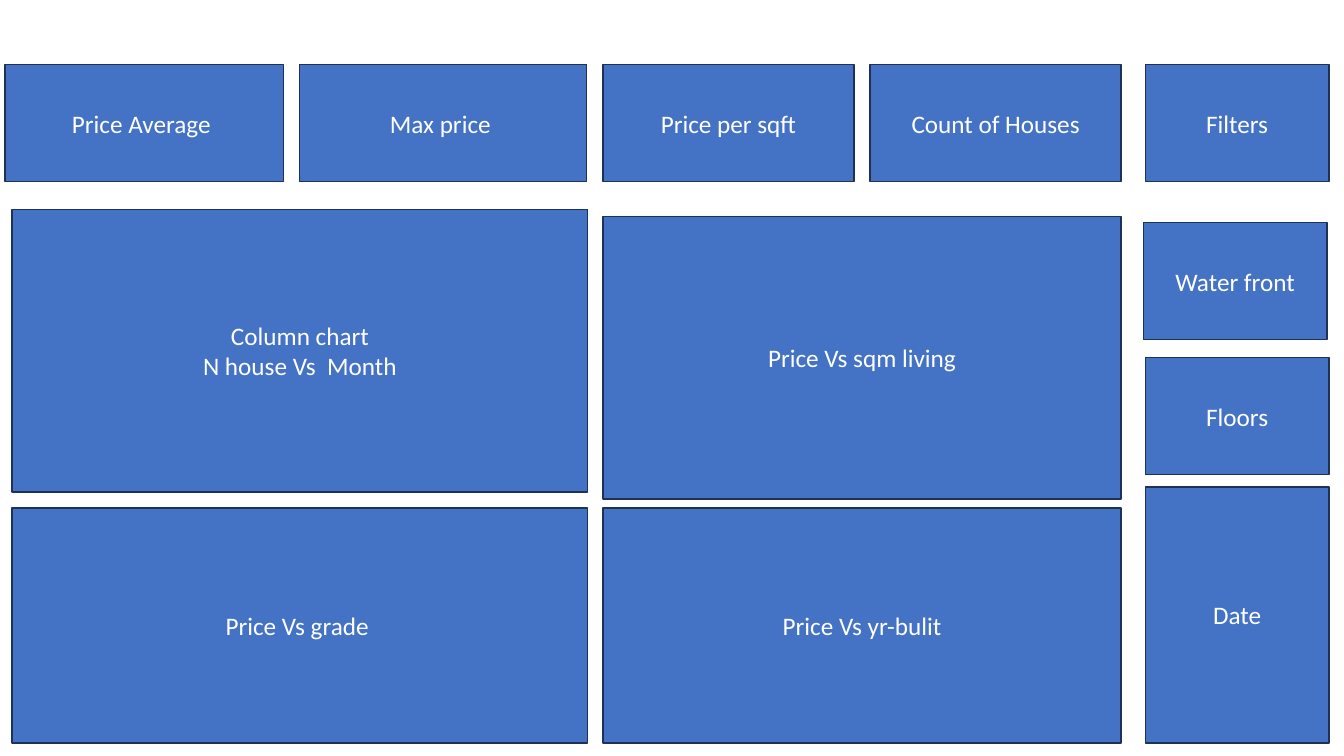
from pptx import Presentation
from pptx.dml.color import RGBColor
from pptx.enum.shapes import MSO_SHAPE
from pptx.enum.text import MSO_ANCHOR, PP_ALIGN
from pptx.util import Inches, Pt

RECTANGLE = MSO_SHAPE.RECTANGLE
MIDDLE = MSO_ANCHOR.MIDDLE
CENTER = PP_ALIGN.CENTER

COLORS = {"tile": "4472C4", "border": "1E3256", "text": "FFFFFF"}
FONT = "Calibri"
BLANK_LAYOUT = 6

# Grid columns as (left, width), in inches
AVERAGE_COL = (0.05, 2.76)
MAX_COL = (2.97, 2.85)
SQFT_COL = (5.98, 2.49)
COUNT_COL = (8.63, 2.49)
LEFT_CHART_COL = (0.12, 5.71)
RIGHT_CHART_COL = (5.98, 5.14)
FILTER_COL = (11.36, 1.82)
WATERFRONT_COL = (11.34, 1.82)

# Grid rows as (top, height), in inches
CARD_HEIGHT = 1.16
CHART_HEIGHT = 2.8
KPI_ROW = (0.64, CARD_HEIGHT)
MONTH_ROW = (2.08, CHART_HEIGHT)
LIVING_ROW = (2.15, CHART_HEIGHT)
LOWER_ROW = (5.04, 2.33)
WATERFRONT_ROW = (2.21, CARD_HEIGHT)
FLOORS_ROW = (3.55, CARD_HEIGHT)
DATE_ROW = (4.83, 2.54)

KPI_CARDS = [
    ("Price Average ", AVERAGE_COL, KPI_ROW),
    ("Max price ", MAX_COL, KPI_ROW),
    ("Price per sqft", SQFT_COL, KPI_ROW),
    ("Count of Houses", COUNT_COL, KPI_ROW),
]
CHART_PANELS = [
    ("Column chart\nN house Vs  Month", LEFT_CHART_COL, MONTH_ROW),
    ("Price Vs sqm living", RIGHT_CHART_COL, LIVING_ROW),
    ("Price Vs grade ", LEFT_CHART_COL, LOWER_ROW),
    ("Price Vs yr-bulit", RIGHT_CHART_COL, LOWER_ROW),
]
FILTER_CARDS = [
    ("Filters", FILTER_COL, KPI_ROW),
    ("Water front", WATERFRONT_COL, WATERFRONT_ROW),
    ("Floors", FILTER_COL, FLOORS_ROW),
    ("Date", FILTER_COL, DATE_ROW),
]


def color(name):
    return RGBColor.from_string(COLORS[name])


def add_tile(slide, label, column, row):
    """Draw one dashboard tile in the given grid column and row."""
    left, width = column
    top, height = row
    tile = slide.shapes.add_shape(
        RECTANGLE, Inches(left), Inches(top), Inches(width), Inches(height))
    tile.shadow.inherit = False
    tile.fill.solid()
    tile.fill.fore_color.rgb = color("tile")
    tile.line.color.rgb = color("border")
    tile.line.width = Pt(1)

    frame = tile.text_frame
    frame.word_wrap = True
    frame.vertical_anchor = MIDDLE
    frame.text = label
    for paragraph in frame.paragraphs:
        paragraph.alignment = CENTER
        paragraph.font.name = FONT
        paragraph.font.size = Pt(18)
        paragraph.font.color.rgb = color("text")


def main():
    deck = Presentation()
    deck.slide_width = Inches(13.33)
    deck.slide_height = Inches(7.5)
    slide = deck.slides.add_slide(deck.slide_layouts[BLANK_LAYOUT])

    # Key figures, then chart panels, then the filter column
    for label, column, row in KPI_CARDS + CHART_PANELS + FILTER_CARDS:
        add_tile(slide, label, column, row)

    deck.save("out.pptx")


if __name__ == "__main__":
    main()
